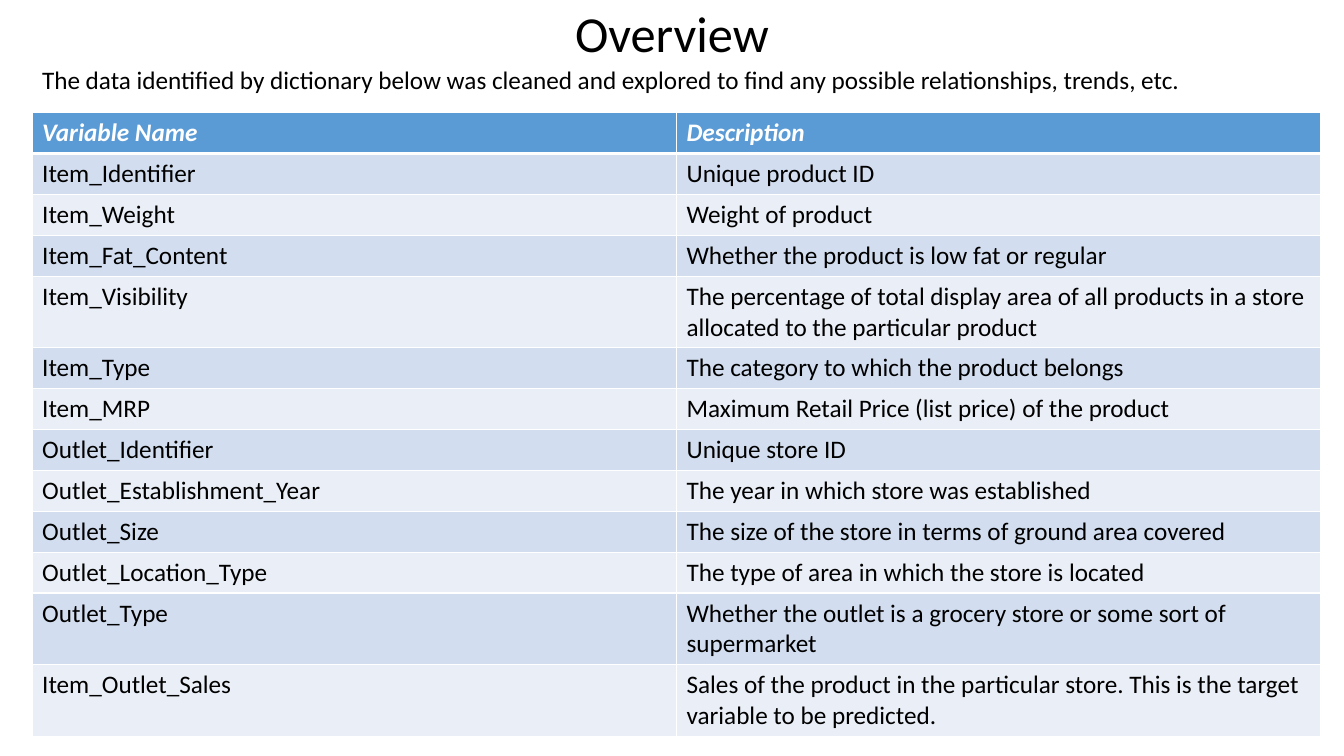
from dataclasses import dataclass

from lxml import etree
from pptx import Presentation
from pptx.dml.color import RGBColor
from pptx.enum.text import MSO_ANCHOR, MSO_AUTO_SIZE, PP_ALIGN
from pptx.oxml.ns import qn
from pptx.util import Cm, Pt

TOP = MSO_ANCHOR.TOP
NO_FIT = MSO_AUTO_SIZE.NONE
LEFT, CENTER = PP_ALIGN.LEFT, PP_ALIGN.CENTER
TITLE_ONLY = 5


@dataclass(frozen=True)
class Theme:
    font: str = "Calibri"
    title_size: int = 36
    body_size: int = 18
    text: str = "000000"
    white: str = "FFFFFF"
    header: str = "5B9BD5"
    bands: tuple[str, str] = ("D2DEEF", "EAEFF7")
    border: int = 1
    header_border: int = 3


@dataclass(frozen=True)
class Variable:
    name: str
    description: str


THEME = Theme()
MARGIN, CONTENT_WIDTH = 0.81, 32.48
TABLE_TOP, ROW_HEIGHT = 2.84, 1.03

HEADER = Variable("Variable Name", "Description")
VARIABLES = [
    Variable("Item_Identifier", "Unique product ID"),
    Variable("Item_Weight", "Weight of product"),
    Variable("Item_Fat_Content", "Whether the product is low fat or regular"),
    Variable("Item_Visibility", "The percentage of total display area of all products "
             "in a store allocated to the particular product"),
    Variable("Item_Type", "The category to which the product belongs"),
    Variable("Item_MRP", "Maximum Retail Price (list price) of the product"),
    Variable("Outlet_Identifier", "Unique store ID"),
    Variable("Outlet_Establishment_Year", "The year in which store was established"),
    Variable("Outlet_Size", "The size of the store in terms of ground area covered"),
    Variable("Outlet_Location_Type", "The type of area in which the store is located"),
    Variable("Outlet_Type", "Whether the outlet is a grocery store or some sort of supermarket"),
    Variable("Item_Outlet_Sales", "Sales of the product in the particular store. "
             "This is the target variable to be predicted."),
]


def set_text(tf, text: str, size: int, color: str, align=LEFT, emphasis: bool = False) -> None:
    tf.text = text
    p = tf.paragraphs[0]
    p.alignment = align
    font = p.runs[0].font
    font.name, font.size = THEME.font, Pt(size)
    font.color.rgb = RGBColor.from_string(color)
    font.bold = font.italic = emphasis


def place(sp, left: float, top: float, width: float, height: float) -> None:
    sp.left, sp.top, sp.width, sp.height = Cm(left), Cm(top), Cm(width), Cm(height)


def set_borders(cell, top: int, bottom: int) -> None:
    """Draw white borders; they must come before the fill in the cell XML."""
    tc_pr = cell._tc.get_or_add_tcPr()
    widths = {"lnL": THEME.border, "lnR": THEME.border, "lnT": top, "lnB": bottom}
    for tag, width in widths.items():
        line = etree.SubElement(tc_pr, qn(f"a:{tag}"), w=str(Pt(width)))
        fill = etree.SubElement(line, qn("a:solidFill"))
        etree.SubElement(fill, qn("a:srgbClr"), val=THEME.white)


def add_title(s, text: str) -> None:
    sp = s.shapes.title
    place(sp, 0, -0.08, 33.87, 1.8)
    tf = sp.text_frame
    tf.auto_size, tf.vertical_anchor = NO_FIT, TOP
    set_text(tf, text, THEME.title_size, THEME.text, CENTER)


def add_intro(s, text: str) -> None:
    sp = s.shapes.add_textbox(Cm(MARGIN), Cm(1.5), Cm(CONTENT_WIDTH), Cm(1.03))
    sp.text_frame.word_wrap = True
    set_text(sp.text_frame, text, THEME.body_size, THEME.text)


def add_dictionary(s, variables: list[Variable]) -> None:
    rows = [HEADER, *variables]
    table = s.shapes.add_table(len(rows), 2, Cm(MARGIN), Cm(TABLE_TOP),
                               Cm(CONTENT_WIDTH), Cm(ROW_HEIGHT * len(rows))).table
    for i, variable in enumerate(rows):
        table.rows[i].height = Cm(ROW_HEIGHT)
        is_header = i == 0
        fill = THEME.header if is_header else THEME.bands[(i - 1) % 2]
        color = THEME.white if is_header else THEME.text
        top = THEME.header_border if i == 1 else THEME.border
        bottom = THEME.header_border if is_header else THEME.border
        for j, text in enumerate((variable.name, variable.description)):
            cell = table.cell(i, j)
            set_borders(cell, top, bottom)
            cell.fill.solid()
            cell.fill.fore_color.rgb = RGBColor.from_string(fill)
            set_text(cell.text_frame, text, THEME.body_size, color, emphasis=is_header)


def main() -> None:
    prs = Presentation()
    prs.slide_width, prs.slide_height = Cm(33.87), Cm(19.05)
    s = prs.slides.add_slide(prs.slide_layouts[TITLE_ONLY])
    add_dictionary(s, VARIABLES)
    add_intro(s, "The data identified by dictionary below was cleaned and explored "
              "to find any possible relationships, trends, etc.")
    add_title(s, "Overview")
    prs.save("out.pptx")


if __name__ == "__main__":
    main()
